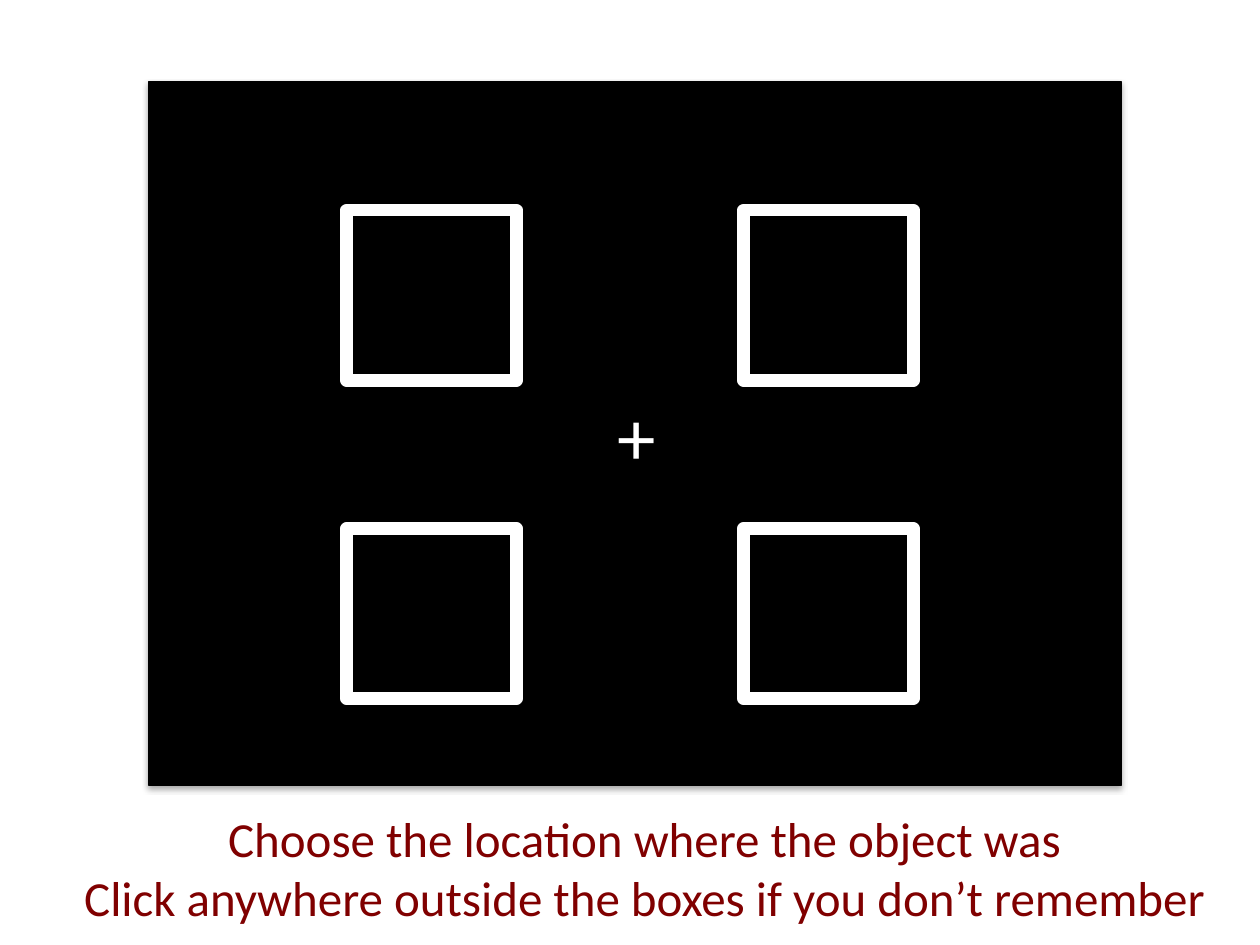
from lxml.etree import SubElement
from pptx import Presentation
from pptx.dml.color import RGBColor
from pptx.enum.shapes import MSO_SHAPE
from pptx.enum.text import MSO_AUTO_SIZE, PP_ALIGN
from pptx.oxml.ns import qn
from pptx.util import Pt

INSTRUCTIONS = [
    "Choose the location where the object was",
    "Click anywhere outside the boxes if you don’t remember",
]
FIXATION = ["+"]

BLACK, WHITE, DARK_RED = "000000", "FFFFFF", "800000"
SCREEN = (85, 46.8, 555.8, 401.8)
BOX_SIZE = 97.2
BOX_COLUMNS = (198, 424.8)
BOX_ROWS = (120.2, 302)
INSTRUCTIONS_AREA = (36, 458.6, 664.6, 74.9)
FIXATION_AREA = (345.6, 218.2, 41, 60.5)


def color(hex_code):
    return RGBColor.from_string(hex_code)


def add_shadow(shape):
    """Give the shape a soft black shadow straight below it."""
    shape.shadow.inherit = False
    effects = shape._element.spPr.find(qn("a:effectLst"))
    shadow = SubElement(effects, qn("a:outerShdw"), blurRad=str(Pt(3.1)),
                        dist=str(Pt(1.8)), dir="5400000", rotWithShape="0")
    black = SubElement(shadow, qn("a:srgbClr"), val=BLACK)
    SubElement(black, qn("a:alpha"), val="35000")


def add_rectangle(slide, area, line_color, line_width, fill=None):
    rectangle = slide.shapes.add_shape(MSO_SHAPE.RECTANGLE, *map(Pt, area))
    if fill:
        rectangle.fill.solid()
        rectangle.fill.fore_color.rgb = color(fill)
    else:
        rectangle.fill.background()
    rectangle.line.color.rgb = color(line_color)
    rectangle.line.width = Pt(line_width)
    add_shadow(rectangle)


def add_text(slide, area, lines, size, text_color, align, wrap):
    frame = slide.shapes.add_textbox(*map(Pt, area)).text_frame
    frame.word_wrap = wrap
    frame.auto_size = MSO_AUTO_SIZE.SHAPE_TO_FIT_TEXT
    frame.text = "\n".join(lines)
    font_format = {"name": "Calibri", "size": Pt(size)}
    for paragraph in frame.paragraphs:
        paragraph.alignment = align
        font = paragraph.runs[0].font
        for attribute, value in font_format.items():
            setattr(font, attribute, value)
        font.color.rgb = color(text_color)


def main():
    presentation = Presentation()
    presentation.slide_width, presentation.slide_height = Pt(720), Pt(540)
    slide = presentation.slides.add_slide(presentation.slide_layouts[6])

    add_rectangle(slide, SCREEN, BLACK, 0.75, fill=BLACK)
    for top in BOX_ROWS:
        for left in BOX_COLUMNS:
            add_rectangle(slide, (left, top, BOX_SIZE, BOX_SIZE), WHITE, 7)

    add_text(slide, INSTRUCTIONS_AREA, INSTRUCTIONS, 28, DARK_RED,
             PP_ALIGN.CENTER, wrap=False)
    add_text(slide, FIXATION_AREA, FIXATION, 44, WHITE,
             PP_ALIGN.LEFT, wrap=True)

    presentation.save("out.pptx")


if __name__ == "__main__":
    main()
